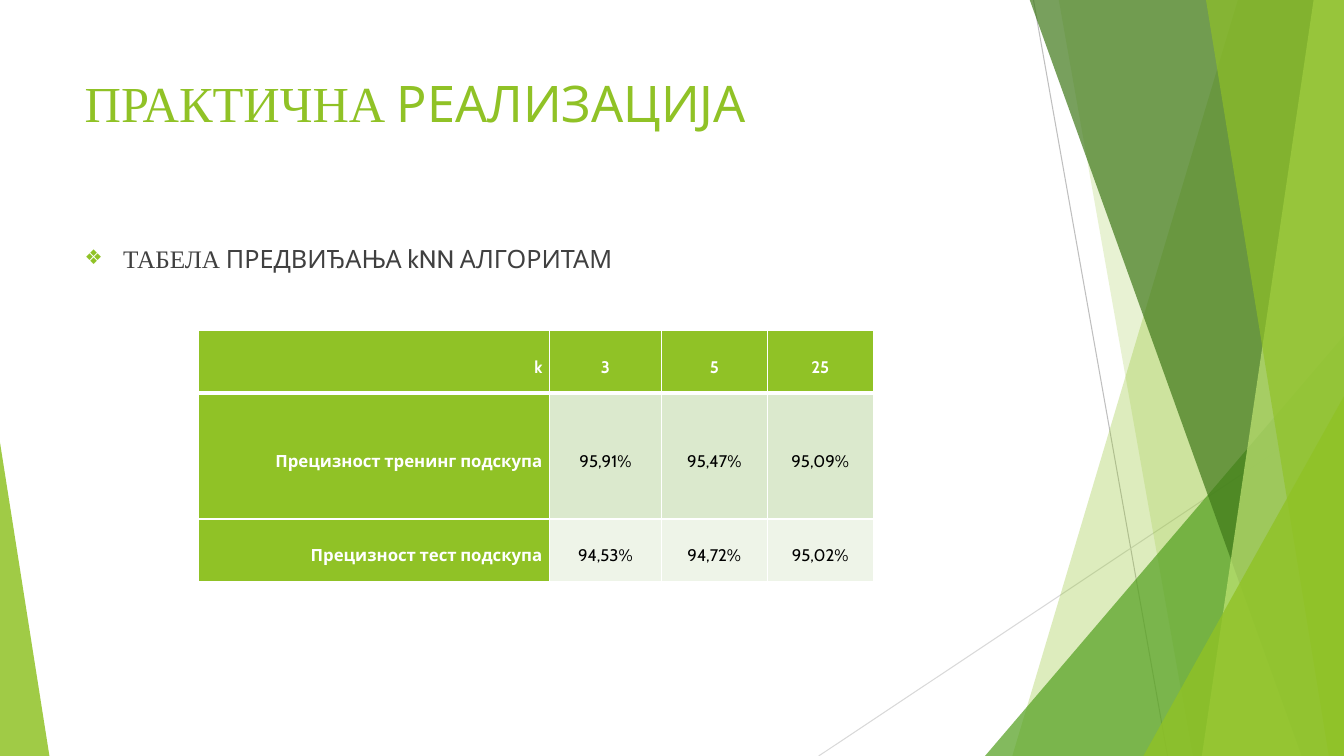
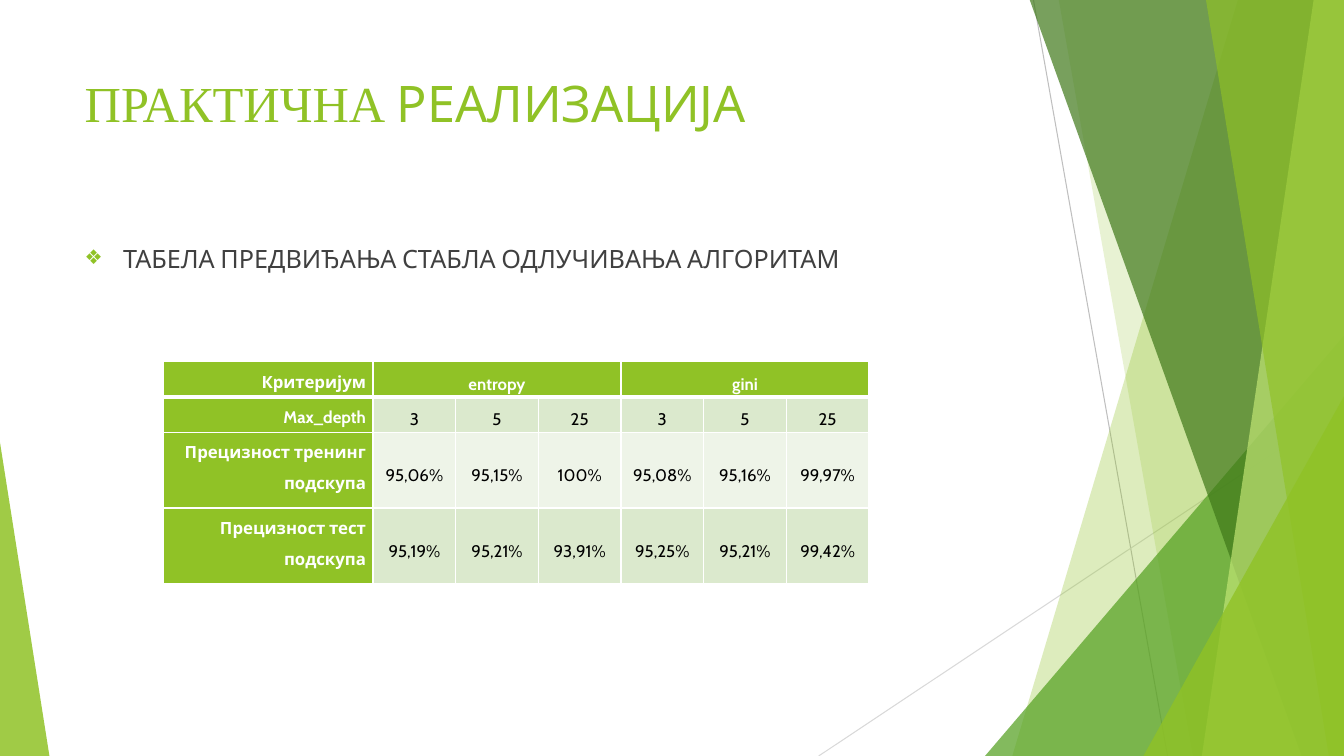
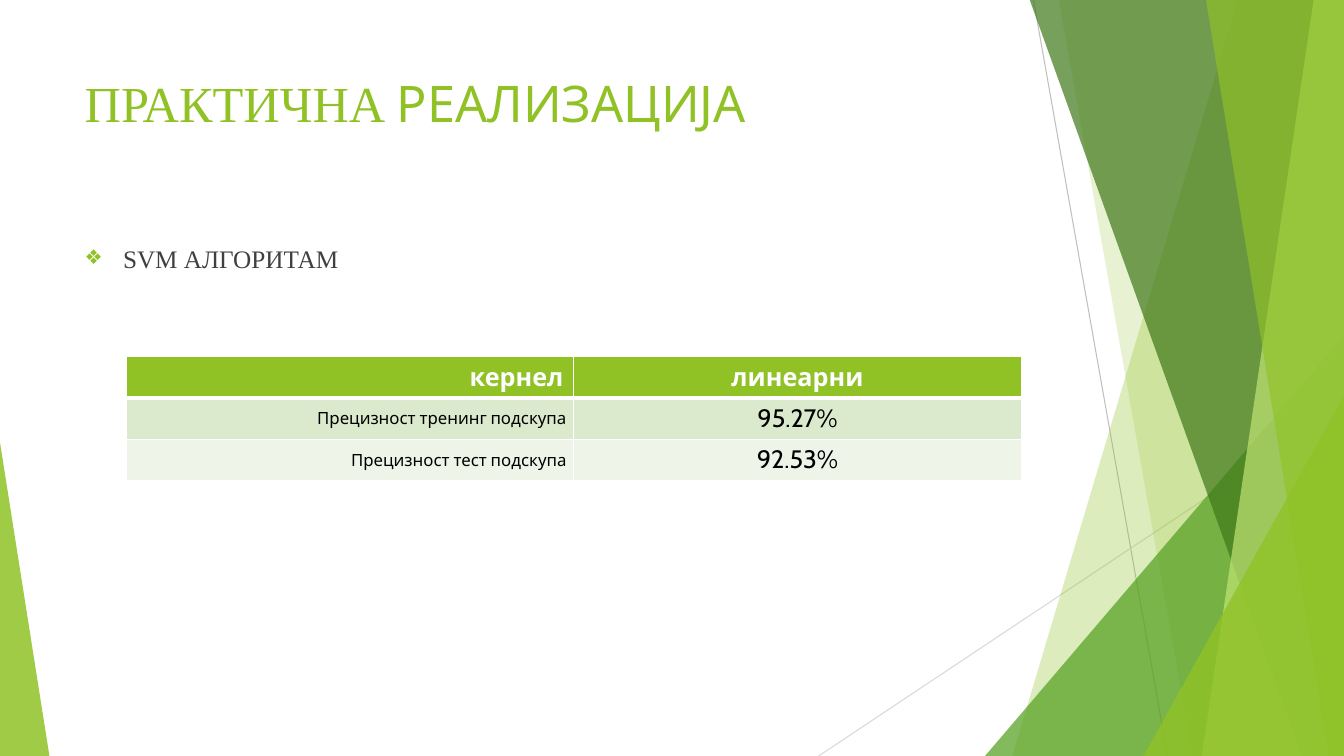
from lxml.etree import SubElement
from pptx import Presentation
from pptx.dml.color import RGBColor
from pptx.enum.shapes import MSO_CONNECTOR, MSO_SHAPE
from pptx.enum.text import MSO_ANCHOR, MSO_AUTO_SIZE, PP_ALIGN
from pptx.oxml.ns import qn
from pptx.util import Inches, Pt

COLORS = {
    "lime": "90C226", "leaf": "54A021", "forest": "3F7819", "pale": "C0E474",
    "gray": "BFBFBF", "light_gray": "D9D9D9", "text": "404040",
    "white": "FFFFFF", "black": "000000", "band_dark": "DBE9CD", "band_light": "EEF4E8",
}
SANS, SERIF = "Cabin", "Times New Roman"
WIDTH, HEIGHT = 13.33, 7.5
CONTENT_LEFT, CONTENT_WIDTH = 0.74, 9.4
RAYS = [((10.25, 0), (11.58, HEIGHT), "gray"), ((WIDTH, 4.03), (8.12, HEIGHT), "light_gray")]
FACETS = [
    ("shard", (12.28, 10.04), "lime", 30),
    ("shard", (10.5, 11.83), "lime", 20),
    ("right_peak", (9.77, 3.33, 3.56, 4.17), "leaf", 72),
    ("shard", (10.21, 12.91), "forest", 70),
    ("shard", (13.03, 11.92), "pale", 70),
    ("shard", (11.96, 13.18), "lime", 65),
    ("right_peak", (11.34, 3.93, 1.99, 3.57), "lime", 80),
    ("left_peak", (0, 4.39, 0.49, 3.11), "lime", 85),
]
TITLE = [("ПРАКТИЧНА", SERIF), (" РЕАЛИЗАЦИЈА", SANS)]
TRAINING, TESTING = "Прецизност тренинг подскупа", "Прецизност тест подскупа"


def rgb(name):
    return RGBColor.from_string(COLORS[name])


def add_run(paragraph, text, font, size, color, bold=False):
    run = paragraph.add_run()
    run.text = text
    run.font.name = font
    run.font.size = Pt(size)
    run.font.bold = bold
    run.font.color.rgb = rgb(color)


def add_shard(slide, top_x, bottom_x):
    builder = slide.shapes.build_freeform(Inches(top_x), Inches(-0.01))
    corners = [(WIDTH, -0.01), (WIDTH, HEIGHT), (bottom_x, HEIGHT)]
    builder.add_line_segments([(Inches(x), Inches(y)) for x, y in corners], close=True)
    return builder.convert_to_shape()


def add_peak(slide, box, apex):
    peak = slide.shapes.add_shape(MSO_SHAPE.ISOSCELES_TRIANGLE, *map(Inches, box))
    peak.adjustments[0] = apex
    return peak


def add_backdrop(slide):
    for start, end, color in RAYS:
        ray = slide.shapes.add_connector(MSO_CONNECTOR.STRAIGHT, *map(Inches, start + end))
        ray.line.color.rgb = rgb(color)
        ray.line.width = Pt(0.75)
        SubElement(ray.element.spPr, qn("a:effectLst"))
    for kind, place, color, opacity in FACETS:
        if kind == "shard":
            facet = add_shard(slide, *place)
        else:
            facet = add_peak(slide, place, 1 if kind == "right_peak" else 0)
        facet.shadow.inherit = False
        facet.line.fill.background()
        facet.fill.solid()
        facet.fill.fore_color.rgb = rgb(color)
        tint = facet.element.spPr.find(qn("a:solidFill"))[0]
        SubElement(tint, qn("a:alpha"), val=str(opacity * 1000))


def fill_placeholder(slide, holder, top, height, runs, size, color):
    slide.shapes.element.append(holder.element)
    holder.left, holder.top = Inches(CONTENT_LEFT), Inches(top)
    holder.width, holder.height = Inches(CONTENT_WIDTH), Inches(height)
    frame = holder.text_frame
    frame.word_wrap = True
    frame.auto_size = MSO_AUTO_SIZE.NONE
    frame.vertical_anchor = MSO_ANCHOR.TOP
    paragraph = frame.paragraphs[0]
    paragraph.alignment = PP_ALIGN.LEFT
    for text, font in runs:
        add_run(paragraph, text, font, size, color)
    return paragraph


def add_bullet(paragraph):
    paragraph.space_before = Pt(10)
    properties = paragraph._p.get_or_add_pPr()
    properties.set("marL", str(Inches(0.38)))
    properties.set("indent", str(Inches(-0.38)))
    bullet_color = SubElement(properties, qn("a:buClr"))
    SubElement(bullet_color, qn("a:srgbClr"), val=COLORS["lime"])
    SubElement(properties, qn("a:buSzPct"), val="80000")
    SubElement(properties, qn("a:buChar"), char="❖")


def add_borders(cell, row):
    properties = cell._tc.get_or_add_tcPr()
    widths = {"L": 1, "R": 1, "T": 3 if row == 1 else 1, "B": 3 if row == 0 else 1}
    for side, width in widths.items():
        border = SubElement(properties, qn(f"a:ln{side}"), w=str(Pt(width)))
        paint = SubElement(border, qn("a:solidFill"))
        SubElement(paint, qn("a:srgbClr"), val=COLORS["white"])


def style_cell(cell, text, row, column, anchor, large):
    accent = row == 0 or (column == 0 and not large)
    snug = not large or (column == 0 and row > 0)
    add_borders(cell, row)
    cell.fill.solid()
    cell.fill.fore_color.rgb = rgb("lime" if accent else "band_dark" if row % 2 else "band_light")
    cell.vertical_anchor = anchor
    paragraph = cell.text_frame.paragraphs[0]
    paragraph.alignment = PP_ALIGN.CENTER if column else PP_ALIGN.RIGHT
    if snug:
        cell.margin_left = cell.margin_right = Inches(0.07)
        cell.margin_top = cell.margin_bottom = 0
        paragraph.line_spacing = 1.5
    if not cell.is_spanned:
        add_run(paragraph, text, SANS, 12 if snug else 18, "white" if accent else "black", accent)


def add_precision_table(slide, left, top, widths, heights, rows,
                        label_anchor=MSO_ANCHOR.TOP, value_anchor=MSO_ANCHOR.MIDDLE,
                        header_spans=(), large=False):
    table = slide.shapes.add_table(
        len(rows), len(widths), Inches(left), Inches(top),
        Inches(sum(widths)), Inches(sum(heights))).table
    table.first_row = table.horz_banding = False
    for column, width in zip(table.columns, widths):
        column.width = Inches(width)
    for line, height in zip(table.rows, heights):
        line.height = Inches(height)
    for first, last in header_spans:
        table.cell(0, first).merge(table.cell(0, last))
    for row, texts in enumerate(rows):
        for column, text in enumerate(texts):
            anchor = value_anchor if column else label_anchor
            style_cell(table.cell(row, column), text, row, column, anchor, large)


def add_results_slide(deck, topic, **table):
    slide = deck.slides.add_slide(deck.slide_layouts[1])
    add_backdrop(slide)
    fill_placeholder(slide, slide.shapes.title, 0.67, 1.44, TITLE, 36, "lime")
    add_bullet(fill_placeholder(slide, slide.placeholders[1], 2.36, 4.24, topic, 18, "text"))
    add_precision_table(slide, **table)


deck = Presentation()
deck.slide_width, deck.slide_height = Inches(WIDTH), Inches(HEIGHT)

add_results_slide(
    deck, [("ТАБЕЛА", SERIF), (" ПРЕДВИЂАЊА kNN АЛГОРИТАМ", SANS)],
    left=1.97, top=3.28, widths=[3.48, 1.11, 1.05, 1.05], heights=[0.62, 1.25, 0.62],
    label_anchor=MSO_ANCHOR.MIDDLE,
    rows=[
        ["k", "3", "5", "25"],
        [TRAINING, "95,91%", "95,47%", "95,09%"],
        [TESTING, "94,53%", "94,72%", "95,02%"],
    ])

add_results_slide(
    deck, [("ТАБЕЛА ПРЕДВИЂАЊА СТАБЛА ОДЛУЧИВАЊА АЛГОРИТАМ", SANS)],
    left=1.62, top=3.59, widths=[2.08] + [0.82] * 6, heights=[0.35, 0.35, 0.75, 0.75],
    header_spans=[(1, 3), (4, 6)],
    rows=[
        ["Критеријум", "entropy", "", "", "gini", "", ""],
        ["Max_depth"] + ["3", "5", "25"] * 2,
        [TRAINING, "95,06%", "95,15%", "100%", "95,08%", "95,16%", "99,97%"],
        [TESTING, "95,19%", "95,21%", "93,91%", "95,25%", "95,21%", "99,42%"],
    ])

add_results_slide(
    deck, [("SVM АЛГОРИТАМ", SERIF)],
    left=1.25, top=3.54, widths=[4.44] * 2, heights=[0.41] * 3,
    value_anchor=MSO_ANCHOR.TOP, large=True,
    rows=[["кернел", "линеарни"], [TRAINING, "95.27%"], [TESTING, "92.53%"]])

deck.save("out.pptx")
